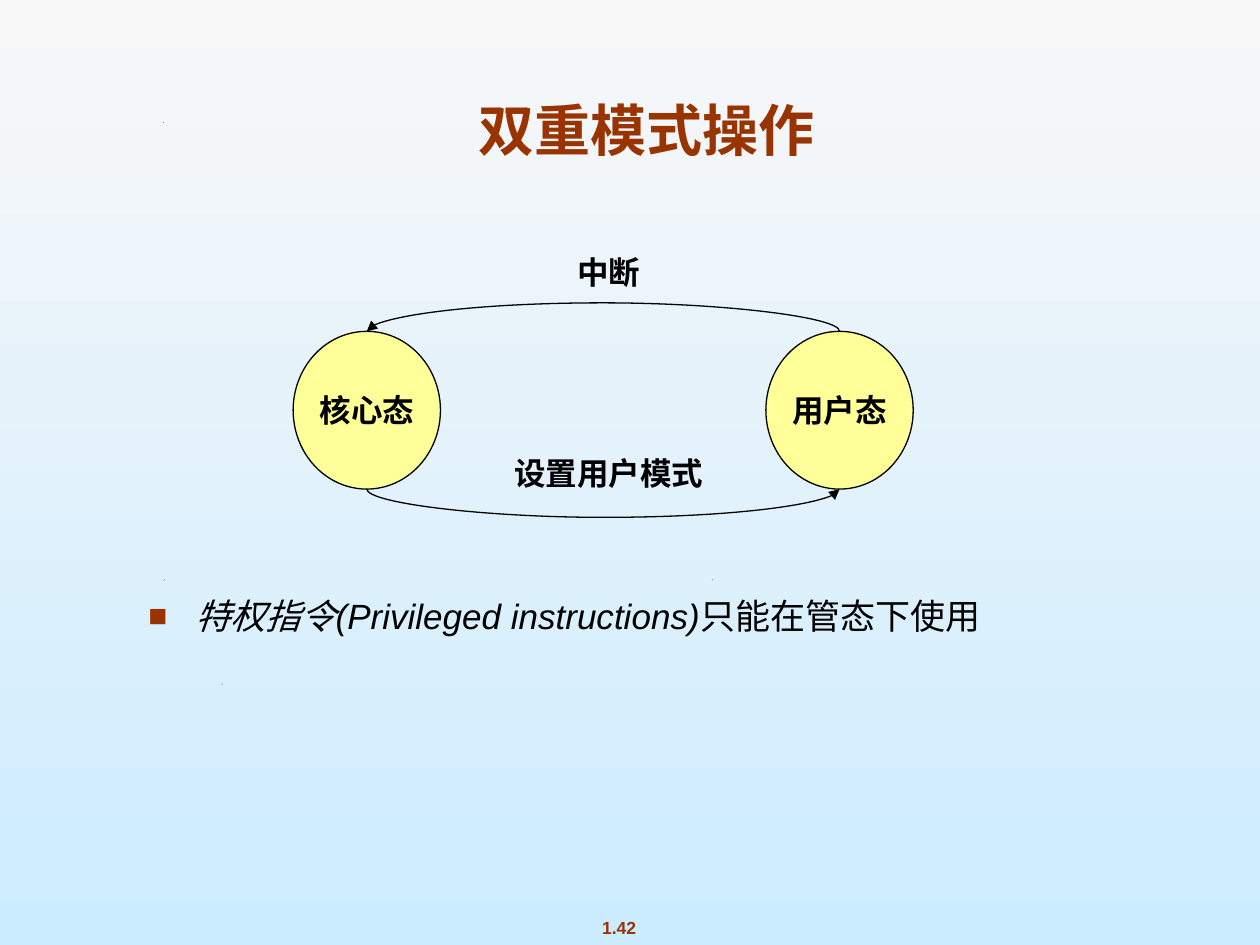
from lxml.etree import SubElement
from pptx import Presentation
from pptx.dml.color import RGBColor
from pptx.enum.shapes import MSO_CONNECTOR as LINK, MSO_SHAPE as SHAPE
from pptx.enum.text import MSO_ANCHOR as ANCHOR, MSO_AUTO_SIZE as FIT, PP_ALIGN as ALIGN
from pptx.oxml.ns import qn
from pptx.util import Cm, Emu, Pt

BLACK = RGBColor(0x00, 0x00, 0x00)
RUST = RGBColor(0x99, 0x33, 0x00)
YELLOW = RGBColor(0xFF, 0xFF, 0x99)
SKY = RGBColor(0xCC, 0xEC, 0xFF)
PALE = RGBColor(0xF8, 0xF8, 0xF8)

TOP, BOTTOM = 0, 4  # connection sites of an ellipse


class Page:
    font = "Arial"
    line = Pt(0.75)

    def __init__(self, deck):
        self.slide = deck.slides.add_slide(deck.slide_layouts[5])
        self.shapes = self.slide.shapes

    def back(self, start, end):
        fill = self.slide.background.fill
        fill.gradient()
        fill.gradient_angle = 270
        for stop, color in zip(fill.gradient_stops, (start, end)):
            stop.color.rgb = color

    def style(self, para, size, color=BLACK, bold=True, align=ALIGN.CENTER):
        para.alignment = align
        font = para.font
        font.name, font.size, font.bold = self.font, Pt(size), bold
        font.color.rgb = color

    def title(self, text, x, y, w, h):
        box = self.shapes.title
        box.left, box.top, box.width, box.height = map(Cm, (x, y, w, h))
        frame = box.text_frame
        frame.text = text
        frame.auto_size = FIT.NONE
        frame.vertical_anchor = ANCHOR.BOTTOM
        self.style(frame.paragraphs[0], 32, RUST)

    def label(self, text, x, y, w, h, size=18, color=BLACK):
        box = self.shapes.add_textbox(*map(Cm, (x, y, w, h)))
        frame = box.text_frame
        frame.text = text
        frame.word_wrap = False
        frame.vertical_anchor = ANCHOR.MIDDLE
        self.style(frame.paragraphs[0], size, color)

    def bullet(self, parts, x, y, w, h):
        """Add one bulleted paragraph from (text, italic) parts."""
        frame = self.shapes.add_textbox(*map(Cm, (x, y, w, h))).text_frame
        frame.word_wrap = True
        para = frame.paragraphs[0]
        props = para._p.get_or_add_pPr()
        props.set("marL", str(Cm(0.95)))
        props.set("indent", str(-Cm(0.95)))
        tint = SubElement(props, qn("a:buClr"))
        SubElement(tint, qn("a:srgbClr"), val=str(RUST))
        SubElement(props, qn("a:buSzPct"), val="90000")
        SubElement(props, qn("a:buFont"), typeface=self.font)
        SubElement(props, qn("a:buChar"), char="■")
        self.style(para, 20, bold=False, align=ALIGN.LEFT)
        for text, italic in parts:
            run = para.add_run()
            run.text = text
            run.font.italic = italic

    def state(self, text, x, y, w, h):
        oval = self.shapes.add_shape(SHAPE.OVAL, *map(Cm, (x, y, w, h)))
        oval.shadow.inherit = False
        oval.fill.solid()
        oval.fill.fore_color.rgb = YELLOW
        oval.line.color.rgb = BLACK
        oval.line.width = self.line
        frame = oval.text_frame
        frame.text = text
        frame.word_wrap = False
        frame.vertical_anchor = ANCHOR.MIDDLE
        self.style(frame.paragraphs[0], 18)
        return oval

    def arc(self, start, end, site, bend):
        """Join the same site of two ovals by a curve bulging away from them."""
        link = self.shapes.add_connector(LINK.CURVE, 0, 0, 0, 0)
        link.begin_connect(start, TOP)
        link.end_connect(end, TOP)
        for tag in ("a:stCxn", "a:endCxn"):  # begin_connect knows sites 0 to 3 only
            next(link._element.iter(qn(tag))).set("idx", str(site))
        span = abs(end.left - start.left)
        mid = (start.left + end.left + start.width) // 2
        edge = start.top + (start.height if site == BOTTOM else 0)
        thin = Emu(1588)  # the bend is a multiple of this width
        link.left, link.top = mid - thin // 2, edge - span // 2
        link.width, link.height = thin, span
        props = link._element.spPr
        frame = props.find(qn("a:xfrm"))
        frame.set("rot", "16200000")
        frame.set("flipH", "1")
        frame.set("flipV", "1" if site == TOP else "0")
        guides = props.find(qn("a:prstGeom")).get_or_add_avLst()
        ratio = round(bend / thin) * 100000 * (-1 if site == TOP else 1)
        SubElement(guides, qn("a:gd"), name="adj1", fmla=f"val {ratio}")
        link.line.color.rgb = BLACK
        link.line.width = self.line
        SubElement(link.line._get_or_add_ln(), qn("a:tailEnd"), type="triangle")
        SubElement(props, qn("a:effectLst"))

    def speck(self, x, y):
        pen = self.shapes.build_freeform(0, 2, scale=Cm(0.01))
        pen.add_line_segments([(2, 0), (1, 2)], close=True)
        dot = pen.convert_to_shape(Cm(x), Cm(y))
        dot.shadow.inherit = False
        dot.fill.solid()
        dot.fill.fore_color.rgb = BLACK
        dot.line.fill.background()


def main():
    deck = Presentation()
    deck.slide_width, deck.slide_height = Cm(25.4), Cm(19.05)
    page = Page(deck)
    page.back(PALE, SKY)

    page.label("1.42", 11.86, 18.36, 1.24, 0.69, size=10, color=RUST)
    for x, y in ((4.47, 13.78), (3.3, 11.68), (14.35, 11.68), (3.28, 2.46)):
        page.speck(x, y)

    page.title("双重模式操作", 1.6, 0.23, 22.86, 3.17)
    page.bullet([("特权指令(Privileged instructions)", True), ("只能在管态下使用", False)],
                2.74, 11.86, 19.53, 2.54)

    kernel, user = (page.state(text, x, 6.68, 2.97, 3.18)
                    for text, x in (("核心态", 5.91), ("用户态", 15.44)))
    page.arc(user, kernel, TOP, Cm(0.63))
    page.arc(kernel, user, BOTTOM, Cm(0.63))
    page.label("中断", 11.38, 4.98, 1.78, 1.02)
    page.label("设置用户模式", 10.11, 9.02, 4.32, 1.02)

    deck.save("out.pptx")


if __name__ == "__main__":
    main()
